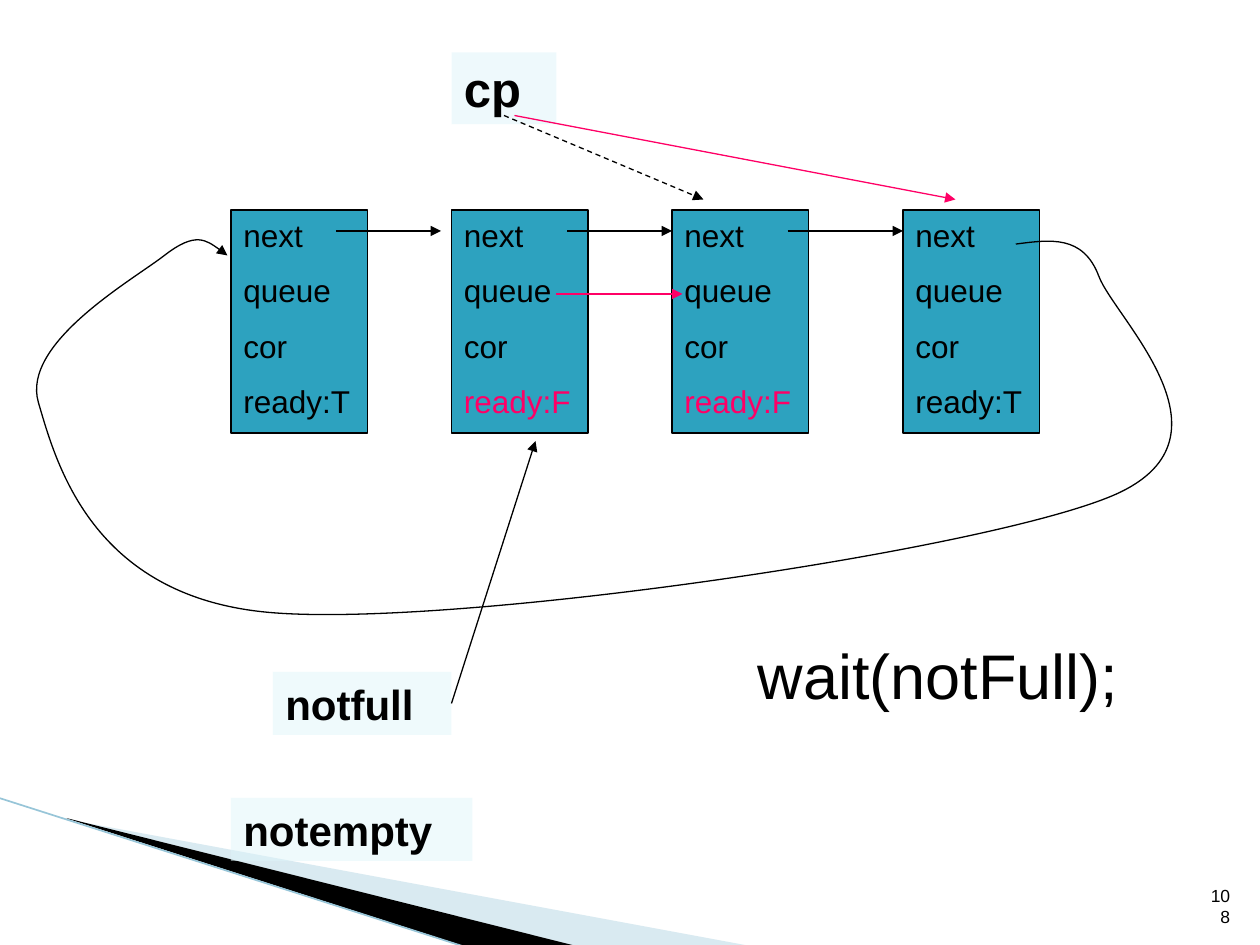
from lxml.etree import SubElement
from pptx import Presentation
from pptx.dml.color import RGBColor
from pptx.enum.dml import MSO_LINE
from pptx.enum.shapes import MSO_CONNECTOR, MSO_SHAPE
from pptx.enum.text import MSO_ANCHOR, PP_ALIGN
from pptx.oxml.ns import qn
from pptx.util import Pt

BLACK = RGBColor(0x00, 0x00, 0x00)
TEAL = RGBColor(0x2D, 0xA2, 0xBF)
PINK = RGBColor(0xFF, 0x00, 0x66)
PALE = RGBColor(0xDE, 0xF5, 0xFA)
SWOOSH = RGBColor(0xA0, 0xCB, 0xDC)
EDGE = RGBColor(0x97, 0xC5, 0xD8)

prs = Presentation()
prs.slide_width, prs.slide_height = Pt(720), Pt(540)
slide = prs.slides.add_slide(prs.slide_layouts[6])
shapes = slide.shapes


def paint(shape, color, opacity=100):
    """Give a shape a flat fill of the given opacity in percent, without line or shadow."""
    shape.shadow.inherit = False
    shape.line.fill.background()
    shape.fill.solid()
    shape.fill.fore_color.rgb = color
    if opacity < 100:
        srgb = shape.fill._xPr.find(qn("a:solidFill"))[0]
        SubElement(srgb, qn("a:alpha"), val=str(opacity * 1000))


def write(shape, lines, size, bold=False):
    """Fill a shape with left-aligned paragraphs given as (text, color) pairs."""
    frame = shape.text_frame
    frame.word_wrap = True
    frame.vertical_anchor = MSO_ANCHOR.TOP
    for i, (text, color) in enumerate(lines):
        paragraph = frame.add_paragraph() if i else frame.paragraphs[0]
        paragraph.alignment = PP_ALIGN.LEFT
        paragraph.space_before = Pt(10 if i else 0)
        run = paragraph.add_run()
        run.text = text
        run.font.name, run.font.size, run.font.bold = "Arial", Pt(size), bold
        run.font.color.rgb = color


# Corner decoration
swooshes = [
    ([(39.6, 468.5), (428.4, 540.5), (328.5, 540.5), (39.6, 468)], SWOOSH, 40),
    ([(38, 467.5), (329, 540.5), (268, 541.5), (39, 468)], BLACK, 100),
]
for corners, color, opacity in swooshes:
    start, *rest = [(Pt(x), Pt(y)) for x, y in corners]
    builder = shapes.build_freeform(*start)
    builder.add_line_segments(rest, close=True)
    paint(builder.convert_to_shape(), color, opacity)

edge = shapes.add_connector(MSO_CONNECTOR.STRAIGHT, Pt(-0.5), Pt(456), Pt(267), Pt(541.5))
edge.line.color.rgb, edge.line.width = EDGE, Pt(0.95)
SubElement(edge._element.spPr, qn("a:effectLst"))

page_number = shapes.add_textbox(Pt(681), Pt(504.5), Pt(29), Pt(29))
write(page_number, [("108", BLACK)], 10)
page_number.text_frame.vertical_anchor = MSO_ANCHOR.BOTTOM
page_number.text_frame.paragraphs[0].alignment = PP_ALIGN.RIGHT

# Coroutine nodes
for left, ready in [(132, "T"), (258, "F"), (384, "F"), (516, "T")]:
    node = shapes.add_shape(MSO_SHAPE.RECTANGLE, Pt(left), Pt(120), Pt(78), Pt(127.5))
    paint(node, TEAL)
    node.line.color.rgb, node.line.width = BLACK, Pt(0.75)
    fields = [(name, BLACK) for name in ("next", "queue", "cor")]
    write(node, fields + [("ready:" + ready, PINK if ready == "F" else BLACK)], 18)

# Link from the last node back to the first: a start and four cubic curves
loop_points = [
    (580.5, 139.5),
    (600, 137), (619, 134), (628, 158),
    (637, 182), (713, 252), (634, 284),
    (555, 316), (256, 359), (154, 350),
    (52, 341), (32, 264), (22, 230),
    (12, 196), (76, 160), (94, 146),
    (112, 132), (121, 139), (130, 146),
]
start, *rest = [(Pt(x), Pt(y)) for x, y in loop_points]
builder = shapes.build_freeform(*start)
builder.add_line_segments(rest, close=False)
loop = builder.convert_to_shape()
loop.shadow.inherit = False
loop.fill.background()
loop.line.color.rgb, loop.line.width = BLACK, Pt(0.75)
SubElement(loop.line._get_or_add_ln(), qn("a:tailEnd"), type="triangle")
outline = next(loop._element.iter(qn("a:path")))
segments = outline.findall(qn("a:lnTo"))
for i in range(0, len(segments), 3):
    curve = SubElement(outline, qn("a:cubicBezTo"))
    for segment in segments[i:i + 3]:
        curve.append(segment[0])
        outline.remove(segment)

# Variable labels
labels = [
    ("cp", 258, 30, 60, 41, 28, 50),
    ("notfull", 156, 384, 102, 36, 24, 48),
    ("notempty", 132, 456, 138, 36, 24, 48),
]
for name, left, top, width, height, size, opacity in labels:
    label = shapes.add_shape(MSO_SHAPE.RECTANGLE, Pt(left), Pt(top), Pt(width), Pt(height))
    paint(label, PALE, opacity)
    write(label, [(name, BLACK)], size, bold=True)

call = shapes.add_textbox(Pt(426), Pt(360), Pt(294), Pt(50.5))
write(call, [("wait(notFull);", BLACK)], 36)

# Pointers
pointers = [
    (192, 132, 252, 132, BLACK, False),
    (324, 132, 384, 132, BLACK, False),
    (450, 132, 516, 132, BLACK, False),
    (288, 66, 402, 114, BLACK, True),
    (258, 402, 306, 252, BLACK, False),
    (294, 66, 546, 114, PINK, False),
    (318, 168, 390, 168, PINK, False),
]
for x1, y1, x2, y2, color, dashed in pointers:
    pointer = shapes.add_connector(MSO_CONNECTOR.STRAIGHT, Pt(x1), Pt(y1), Pt(x2), Pt(y2))
    pointer.line.color.rgb, pointer.line.width = color, Pt(0.75)
    if dashed:
        pointer.line.dash_style = MSO_LINE.DASH
    SubElement(pointer.line._get_or_add_ln(), qn("a:tailEnd"), type="triangle")
    SubElement(pointer._element.spPr, qn("a:effectLst"))

prs.save("out.pptx")
